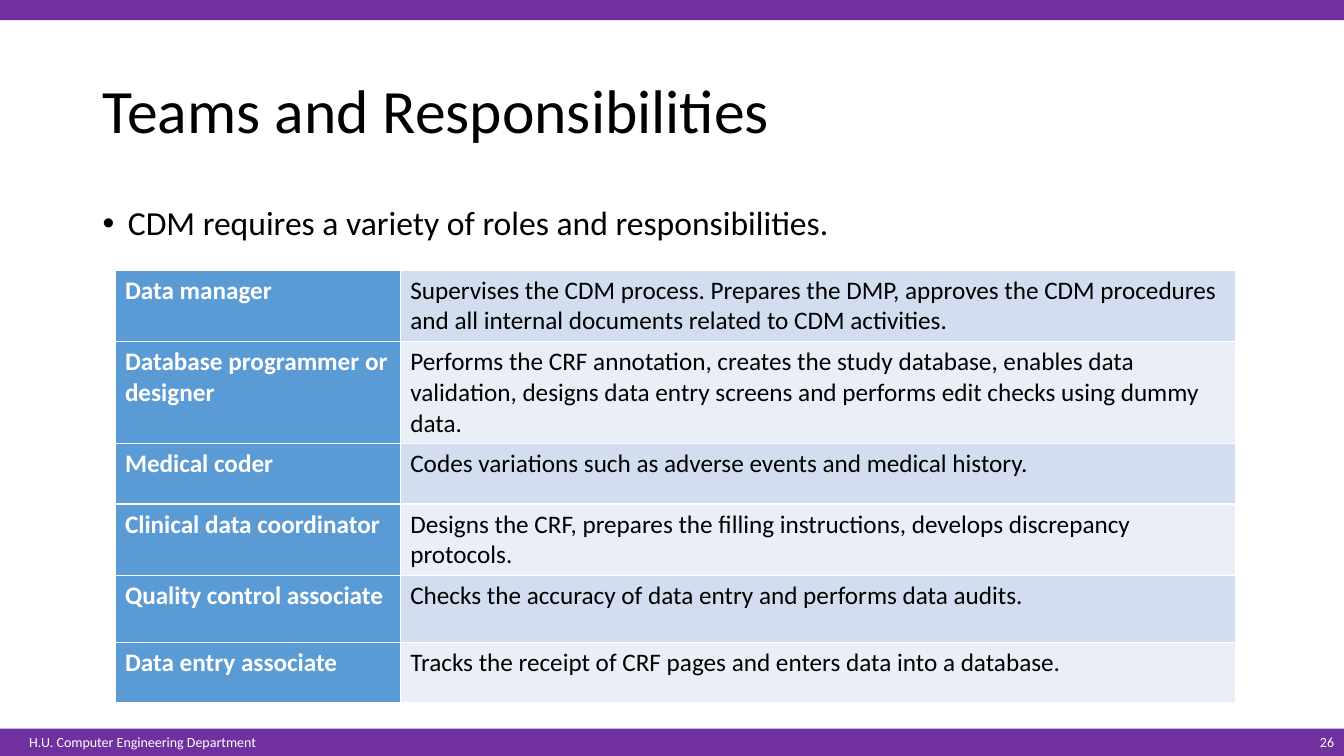
from dataclasses import dataclass

from lxml.etree import SubElement
from pptx import Presentation
from pptx.dml.color import RGBColor
from pptx.enum.shapes import MSO_SHAPE
from pptx.enum.text import MSO_ANCHOR, MSO_AUTO_SIZE, PP_ALIGN
from pptx.oxml.ns import qn
from pptx.util import Inches, Pt

SLIDE_WIDTH, SLIDE_HEIGHT = Inches(13.33), Inches(7.5)


@dataclass(frozen=True)
class Theme:
    """Colours, font and type sizes of the slide."""
    font: str = "Calibri"
    purple: str = "7030A0"
    role_blue: str = "5B9BD5"
    bands: tuple = ("D2DEEF", "EAEFF7")
    white: str = "FFFFFF"
    black: str = "000000"
    title: int = 44
    body: int = 24
    cell: int = 18
    footer: int = 10


THEME = Theme()

DUTIES = [
    ("Data manager", 9.47,
     "Supervises the CDM process. Prepares the DMP, approves the CDM procedures "
     "and all internal documents related to CDM activities."),
    ("Database programmer or designer", 13.47,
     "Performs the CRF annotation, creates the study database, enables data validation, "
     "designs data entry screens and performs edit checks using dummy data."),
    ("Medical coder", 8,
     "Codes variations such as adverse events and medical history."),
    ("Clinical data coordinator", 9.47,
     "Designs the CRF, prepares the filling instructions, develops discrepancy protocols."),
    ("Quality control associate", 8.8,
     "Checks the accuracy of data entry and performs data audits."),
    ("Data entry associate", 8,
     "Tracks the receipt of CRF pages and enters data into a database."),
]


def across(percent):
    """Turn a percentage of the slide width into a length."""
    return int(SLIDE_WIDTH * percent / 100)


def down(percent):
    """Turn a percentage of the slide height into a length."""
    return int(SLIDE_HEIGHT * percent / 100)


def area(left, top, width, height):
    """Turn four percentages into a position and size."""
    return across(left), down(top), across(width), down(height)


def write(frame, wording, size, colour, bold=False):
    """Put one formatted paragraph in a text frame and return it."""
    frame.text = wording
    paragraph = frame.paragraphs[0]
    font = paragraph.runs[0].font
    font.name, font.size, font.bold = THEME.font, Pt(size), bold
    font.color.rgb = RGBColor.from_string(colour)
    return paragraph


def add_band(slide, top, height):
    """Draw a purple band over the full slide width."""
    band = slide.shapes.add_shape(MSO_SHAPE.RECTANGLE, *area(0, top, 100, height))
    band.shadow.inherit = False
    band.fill.solid()
    band.fill.fore_color.rgb = RGBColor.from_string(THEME.purple)
    band.line.fill.background()


def add_text(slide, place, wording, size, colour, anchor=MSO_ANCHOR.TOP, wrap=True):
    """Add a text box and return its paragraph."""
    frame = slide.shapes.add_textbox(*area(*place)).text_frame
    frame.word_wrap = wrap
    frame.auto_size = MSO_AUTO_SIZE.NONE if wrap else MSO_AUTO_SIZE.SHAPE_TO_FIT_TEXT
    frame.vertical_anchor = anchor
    return write(frame, wording, size, colour)


def add_bullet(paragraph):
    """Give a paragraph a hanging round bullet."""
    properties = paragraph._p.get_or_add_pPr()
    properties.set("marL", str(Inches(0.25)))
    properties.set("indent", str(-Inches(0.25)))
    SubElement(properties, qn("a:buFont"), typeface="Arial")
    SubElement(properties, qn("a:buChar"), char="•")


def style_cell(cell, wording, fill, colour, bold):
    """Write a table cell with thin white borders and a solid fill."""
    write(cell.text_frame, wording, THEME.cell, colour, bold)
    properties = cell._tc.get_or_add_tcPr()
    for side in ("a:lnL", "a:lnR", "a:lnT", "a:lnB"):
        border = SubElement(properties, qn(side), w=str(Pt(1)))
        paint = SubElement(border, qn("a:solidFill"))
        SubElement(paint, qn("a:srgbClr"), val=THEME.white)
    cell.fill.solid()
    cell.fill.fore_color.rgb = RGBColor.from_string(fill)


def add_duties_table(slide, left, top, widths):
    """Add the table of roles and their duties."""
    height = sum(share for _, share, _ in DUTIES)
    place = area(left, top, sum(widths), height)
    table = slide.shapes.add_table(len(DUTIES), len(widths), *place).table
    table.first_row = table.horz_banding = False
    for column, width in zip(table.columns, widths):
        column.width = across(width)
    for index, (role, share, duty) in enumerate(DUTIES):
        table.rows[index].height = down(share)
        style_cell(table.cell(index, 0), role, THEME.role_blue, THEME.white, True)
        band = THEME.bands[index % len(THEME.bands)]
        style_cell(table.cell(index, 1), duty, band, THEME.black, False)


def main():
    """Build and save the slide."""
    deck = Presentation()
    deck.slide_width, deck.slide_height = SLIDE_WIDTH, SLIDE_HEIGHT
    slide = deck.slides.add_slide(deck.slide_layouts[6])
    add_band(slide, 0, 2.67)
    add_band(slide, 96.4, 3.6)
    add_text(slide, (1.43, 96.4, 18.68, 3.6), "H.U. Computer Engineering Department",
             THEME.footer, THEME.white, wrap=False)
    title = add_text(slide, (6.9, 5.33, 86.27, 19.33), "Teams and Responsibilities",
                     THEME.title, THEME.black, MSO_ANCHOR.MIDDLE)
    title.line_spacing = 0.9
    statement = add_text(slide, (6.9, 26.67, 86.27, 63.47),
                         "CDM requires a variety of roles and responsibilities.",
                         THEME.body, THEME.black)
    statement.line_spacing = 0.9
    statement.space_before = Pt(10)
    add_bullet(statement)
    page = add_text(slide, (91.97, 96.4, 8.03, 3.47), "26",
                    THEME.footer, THEME.white, MSO_ANCHOR.MIDDLE)
    page.alignment = PP_ALIGN.RIGHT
    add_duties_table(slide, 8.55, 35.73, (21.23, 62.19))
    deck.save("out.pptx")


if __name__ == "__main__":
    main()
